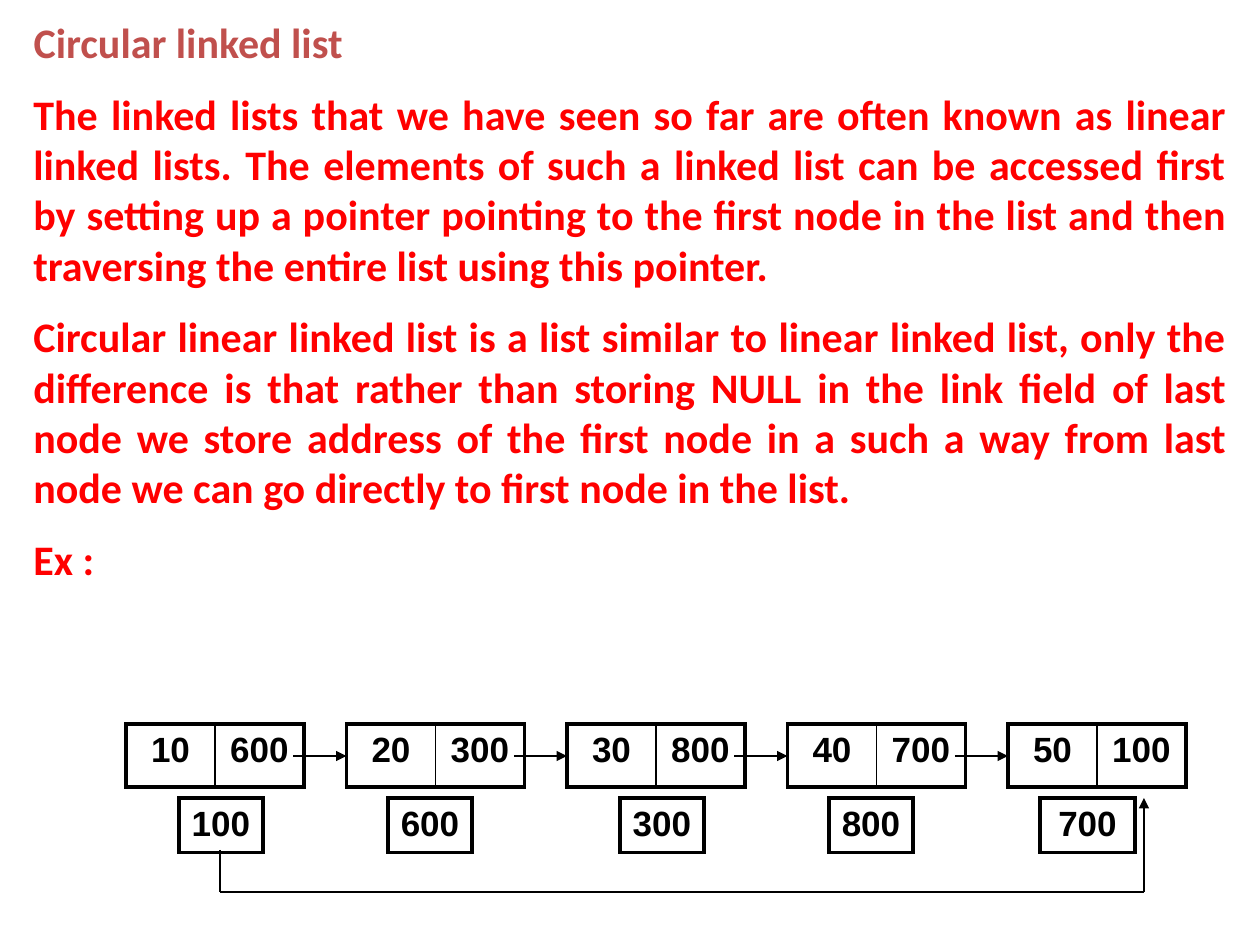
from dataclasses import dataclass
from itertools import pairwise

from lxml.etree import SubElement
from pptx import Presentation
from pptx.dml.color import RGBColor
from pptx.enum.shapes import MSO_CONNECTOR
from pptx.enum.text import MSO_ANCHOR, PP_ALIGN
from pptx.oxml.ns import qn
from pptx.util import Emu, Pt

PX_PER_INCH = 126
BLACK, RED, BRICK = "000000", "FF0000", "C0504D"
THICK, THIN = 2.25, 1.0

# Node row geometry, in px
NODE_LEFT, NODE_STEP, NODE_TOP = 126, 220.5, 724
CELL_WIDTH, NODE_HEIGHT = 89, 63
ADDRESS_TOP, ADDRESS_HEIGHT = 798, 54
ARROW_Y, ARROW_LENGTH = 756, 53
RETURN_START, RETURN_END = (220, 850), (1144, 798)
RETURN_Y = 892

HEADING = "Circular linked list"
PARAGRAPHS = [
    "The linked lists that we have seen so far are often known as linear linked "
    "lists. The elements of such a linked list can be accessed first by setting up "
    "a pointer pointing to the first node in the list and then traversing the "
    "entire list using this pointer.",
    "Circular linear linked list is a list similar to linear linked list, only the "
    "difference is that rather than storing NULL in the link field of last node we "
    "store address of the first node in a such a way from last node we can go "
    "directly to first node in the list.",
    "Ex :",
]


@dataclass
class Node:
    value: str
    link: str
    address: str
    address_left: int
    address_width: int = 84


NODES = [
    Node("10", "600", "100", 179),
    Node("20", "300", "600", 388),
    Node("30", "800", "300", 620),
    Node("40", "700", "800", 829),
    Node("50", "100", "700", 1040, 95),
]


def px(length: float) -> Emu:
    return Emu(round(length * 914400 / PX_PER_INCH))


def color(value: str) -> RGBColor:
    return RGBColor.from_string(value)


def format_paragraph(paragraph, size: int, face: str, fill: str, align) -> None:
    paragraph.alignment = align
    font = paragraph.font
    font.size, font.name, font.bold = Pt(size), face, True
    font.color.rgb = color(fill)


def add_border(cell, side: str, width: float) -> None:
    line = SubElement(cell._tc.get_or_add_tcPr(), qn(f"a:ln{side}"),
                      w=str(int(Pt(width))))
    fill = SubElement(line, qn("a:solidFill"))
    SubElement(fill, qn("a:srgbClr"), val=BLACK)


def add_cells(shapes, texts: list[str], left: float, top: int,
              cell_width: int, height: int) -> None:
    """Draw a one-row table: thick outside, thin between the cells."""
    table = shapes.add_table(1, len(texts), px(left), px(top),
                             px(cell_width * len(texts)), px(height)).table
    table.first_row = table.horz_banding = False
    table.rows[0].height = px(height)
    last = len(texts) - 1
    for column, text in enumerate(texts):
        table.columns[column].width = px(cell_width)
        cell = table.cell(0, column)
        add_border(cell, "L", THICK if column == 0 else THIN)
        add_border(cell, "R", THICK if column == last else THIN)
        add_border(cell, "T", THICK)
        add_border(cell, "B", THICK)
        cell.fill.background()
        cell.text = text
        format_paragraph(cell.text_frame.paragraphs[0], 20, "Arial", BLACK,
                         PP_ALIGN.CENTER)


def add_line(shapes, start: tuple, end: tuple, arrow: bool = False) -> None:
    line = shapes.add_connector(MSO_CONNECTOR.STRAIGHT, px(start[0]), px(start[1]),
                                px(end[0]), px(end[1]))
    line.line.color.rgb = color(BLACK)
    line.line.width = Pt(0.75)
    if arrow:
        SubElement(line.line._get_or_add_ln(), qn("a:tailEnd"), type="triangle")
    SubElement(line._element.spPr, qn("a:effectLst"))


def add_text(slide) -> None:
    # Heading
    title = slide.shapes.title
    title.left, title.top, title.width, title.height = px(21), px(10), px(1218), px(64)
    title.text = HEADING
    title.text_frame.vertical_anchor = MSO_ANCHOR.TOP
    format_paragraph(title.text_frame.paragraphs[0], 24, "Calibri", BRICK,
                     PP_ALIGN.JUSTIFY)

    # Explanation
    frame = slide.shapes.add_textbox(px(21), px(82), px(1218), px(695)).text_frame
    frame.word_wrap = True
    frame.text = "\n".join(PARAGRAPHS)
    for index, paragraph in enumerate(frame.paragraphs):
        if index:
            paragraph.space_before = Pt(12)
        format_paragraph(paragraph, 24, "Calibri", RED, PP_ALIGN.JUSTIFY)


def add_list_diagram(slide) -> None:
    # Nodes with their addresses, each pointing to the next
    for index, node in enumerate(NODES):
        left = NODE_LEFT + index * NODE_STEP
        add_cells(slide.shapes, [node.value, node.link], left, NODE_TOP,
                  CELL_WIDTH, NODE_HEIGHT)
        add_cells(slide.shapes, [node.address], node.address_left, ADDRESS_TOP,
                  node.address_width, ADDRESS_HEIGHT)
        if index:
            add_line(slide.shapes, (left - ARROW_LENGTH, ARROW_Y), (left, ARROW_Y),
                     arrow=True)

    # Link between the first and the last node
    route = [RETURN_START, (RETURN_START[0], RETURN_Y),
             (RETURN_END[0], RETURN_Y), RETURN_END]
    group = slide.shapes.add_group_shape()
    for start, end in pairwise(route):
        add_line(group.shapes, start, end, arrow=end == RETURN_END)


def main() -> None:
    presentation = Presentation()
    presentation.slide_width, presentation.slide_height = px(1260), px(945)
    slide = presentation.slides.add_slide(presentation.slide_layouts[5])
    add_text(slide)
    add_list_diagram(slide)
    presentation.save("out.pptx")


if __name__ == "__main__":
    main()
